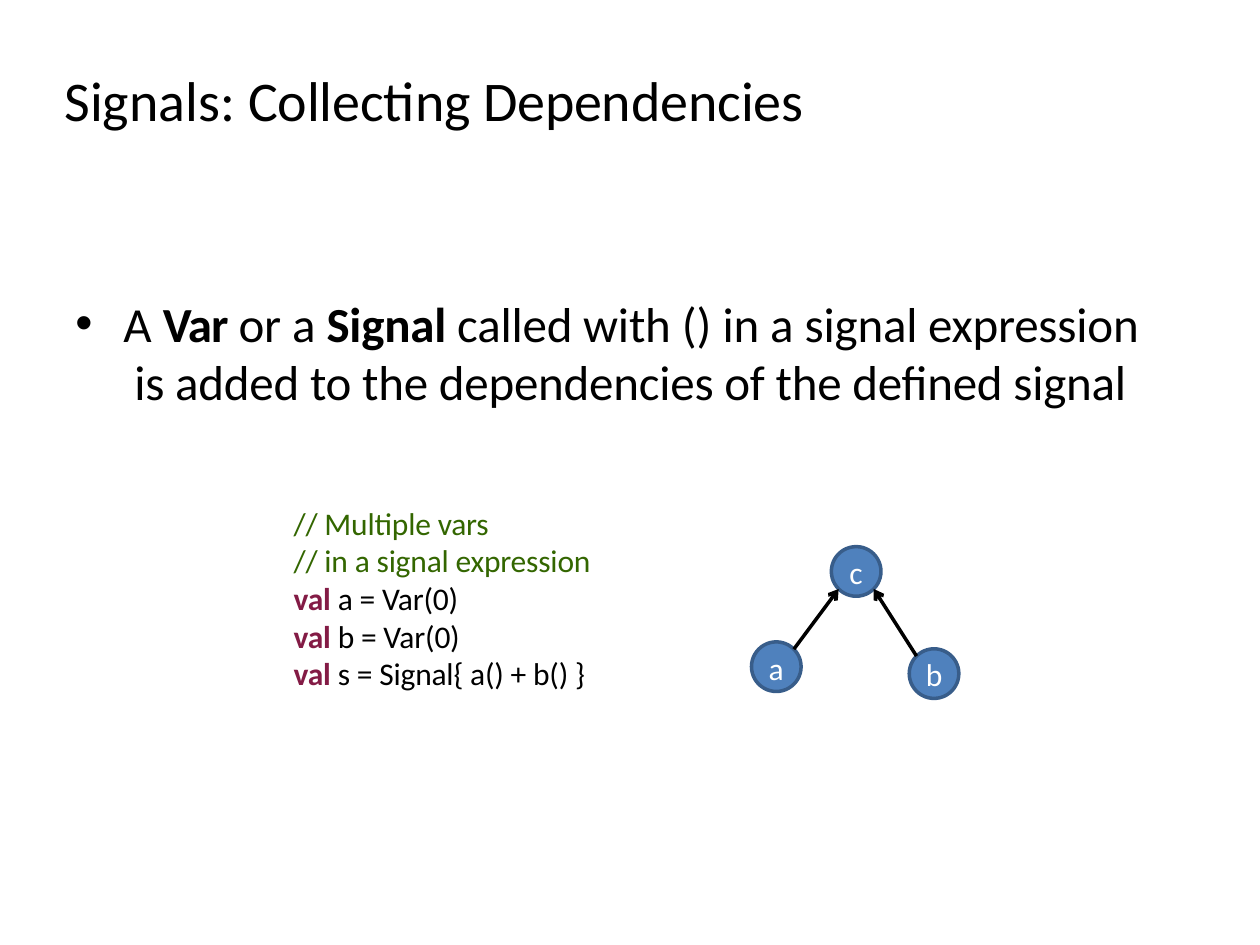
import math

import pptx
import pptx.dml.color
import pptx.enum.shapes
import pptx.enum.text
import pptx.oxml.xmlchemy
import pptx.util

Cm = pptx.util.Cm
Pt = pptx.util.Pt

COLORS = {
    "text": "000000",
    "comment": "336600",
    "keyword": "831B45",
    "node": "4F81BD",
    "outline": "385D8A",
    "label": "FFFFFF",
}

TITLE = [[("Signals: ", "text", False, 0), ("Collecting Dependencies", "text", False, -10)]]
STATEMENT = [[
    ("A ", "text", False, 0),
    ("Var ", "text", True, -60),
    ("or ", "text", False, -10),
    ("a ", "text", False, 0),
    ("Signal ", "text", True, -10),
    ("called with", "text", False, -10),
    (" () ", "text", False, 0),
    ("in ", "text", False, -10),
    ("a ", "text", False, 0),
    ("signal expression", "text", False, -10),
    ("\n", "text", False, 0),
    (" is added to the dependencies of the defined signal", "text", False, -10),
]]
COMMENTS = ["// Multiple vars", "// in a signal expression"]
DEFINITIONS = ["a = Var(0)", "b = Var(0)", "s = Signal{ a() + b() }"]
CODE = [[(comment, "comment", False, -10)] for comment in COMMENTS] + [
    [("val ", "keyword", True, -10), (definition, "text", False, -10)]
    for definition in DEFINITIONS
]

TEXT_BOXES = [
    (TITLE, (1.3, 1.3, 21.74, 3.81), 32, {"space_before": Pt(1)}, False),
    (STATEMENT, (1.5, 5.9, 21.74, 3.6), 28,
     {"space_before": Pt(2.3), "line_spacing": Pt(33.3)}, True),
    (CODE, (5.92, 10.13, 6.5, 3.9), 18, {"line_spacing": Pt(21.5)}, False),
]

NODE_SIZE = 1.0
NODES = {"a": (15.65, 13.44), "b": (18.83, 13.58), "c": (17.26, 11.52)}
DEPENDENCIES = [("a", "c"), ("b", "c")]

FRAME_FORMAT = {
    "margin_left": 0, "margin_right": 0, "margin_top": Cm(0.03), "margin_bottom": 0,
}


def rgb(name):
    return pptx.dml.color.RGBColor.from_string(COLORS[name])


def apply_format(target, values):
    for name, value in values.items():
        setattr(target, name, value)


def append_element(parent, tag, **attributes):
    element = pptx.oxml.xmlchemy.OxmlElement(f"a:{tag}")
    for name, value in attributes.items():
        element.set(name, value)
    parent.append(element)


def add_run(paragraph, text, size, color, bold=False, spacing=0):
    run = paragraph.add_run()
    run.text = text
    apply_format(run.font, {"name": "Calibri", "size": Pt(size), "bold": bold})
    run.font.color.rgb = rgb(color)
    run.font._element.set("spc", str(spacing))


def add_bullet(paragraph):
    properties = paragraph._p.get_or_add_pPr()
    properties.set("marL", str(Cm(0.99)))
    properties.set("indent", str(Cm(-0.97)))
    append_element(properties, "buFont", typeface="Arial")
    append_element(properties, "buChar", char="•")


def add_text_box(slide, paragraphs, place, size, paragraph_format, bulleted):
    frame = slide.shapes.add_textbox(*map(Cm, place)).text_frame
    apply_format(frame, {**FRAME_FORMAT, "word_wrap": True})
    for index, runs in enumerate(paragraphs):
        paragraph = frame.add_paragraph() if index else frame.paragraphs[0]
        apply_format(paragraph, paragraph_format)
        if bulleted:
            add_bullet(paragraph)
        for text, color, bold, spacing in runs:
            if text == "\n":
                paragraph.add_line_break()
            else:
                add_run(paragraph, text, size, color, bold, spacing)


def add_node(slide, label, center):
    left, top = (Cm(value - NODE_SIZE / 2) for value in center)
    node = slide.shapes.add_shape(
        pptx.enum.shapes.MSO_SHAPE.OVAL, left, top, Cm(NODE_SIZE), Cm(NODE_SIZE))
    node.shadow.inherit = False
    node.fill.solid()
    node.fill.fore_color.rgb = rgb("node")
    node.line.color.rgb = rgb("outline")
    node.line.width = Pt(2)
    apply_format(node.text_frame, {
        **FRAME_FORMAT,
        "word_wrap": False,
        "vertical_anchor": pptx.enum.text.MSO_ANCHOR.MIDDLE,
    })
    paragraph = node.text_frame.paragraphs[0]
    paragraph.alignment = pptx.enum.text.PP_ALIGN.CENTER
    add_run(paragraph, label, 18, "label")


def add_dependency(slide, source, target):
    (source_x, source_y), (target_x, target_y) = NODES[source], NODES[target]
    offset = NODE_SIZE / 2 * math.sqrt(0.5)
    side = math.copysign(offset, target_x - source_x)
    ends = (source_x + side, source_y - offset, target_x - side, target_y + offset)
    arrow = slide.shapes.add_connector(
        pptx.enum.shapes.MSO_CONNECTOR.STRAIGHT, *map(Cm, ends))
    arrow.line.color.rgb = rgb("text")
    arrow.line.width = Pt(2)
    append_element(arrow.line._get_or_add_ln(), "tailEnd", type="arrow")
    append_element(arrow._element.spPr, "effectLst")


def main():
    presentation = pptx.Presentation()
    presentation.slide_width = Cm(25.4)
    presentation.slide_height = Cm(19.05)
    slide = presentation.slides.add_slide(presentation.slide_layouts[6])
    for text_box in TEXT_BOXES:
        add_text_box(slide, *text_box)
    for label, center in NODES.items():
        add_node(slide, label, center)
    for source, target in DEPENDENCIES:
        add_dependency(slide, source, target)
    presentation.save("out.pptx")


if __name__ == "__main__":
    main()
